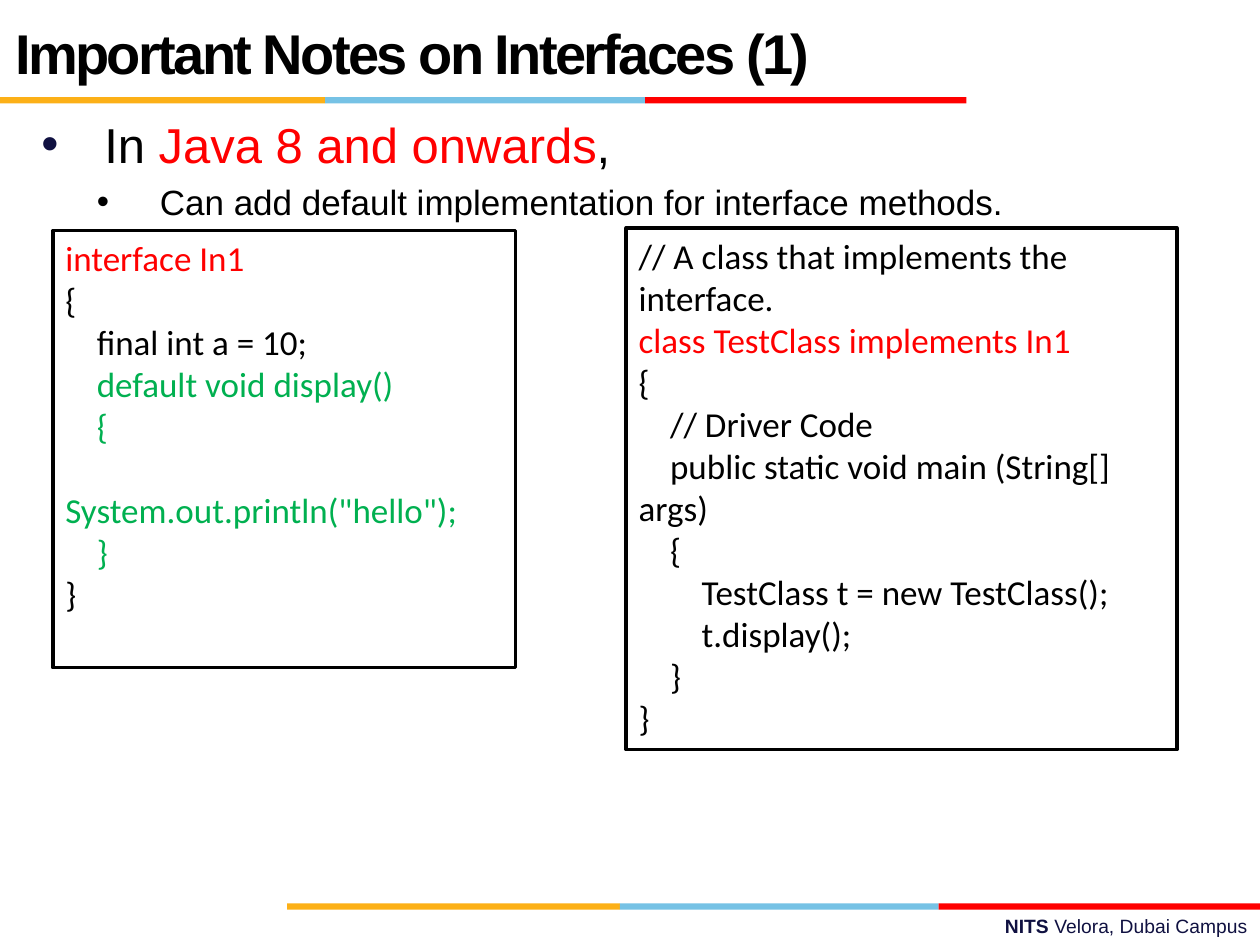
"""Build a slide on default methods in Java interfaces."""
import pptx
import pptx.util
import pptx.dml.color
import pptx.enum.shapes
import pptx.enum.text
import pptx.oxml.ns
import lxml.etree

Inches = pptx.util.Inches
Pt = pptx.util.Pt
BLACK, RED, GREEN, NAVY = "000000", "FF0000", "00B050", "101141"
YELLOW, BLUE, WHITE = "FCB017", "76C2E5", "FFFFFF"


def color(value):
    return pptx.dml.color.RGBColor.from_string(value)


def write(frame, runs, size, font="Arial", align="LEFT", before=0, margin=0, indent=0,
          bullet=None, level=0, line=None, spacing=None):
    paragraph = frame.paragraphs[0]
    if paragraph.runs:
        paragraph = frame.add_paragraph()
    paragraph.level = level
    paragraph.alignment = getattr(pptx.enum.text.PP_ALIGN, align)
    paragraph.space_before = Pt(before)
    if line:
        paragraph.line_spacing = Pt(line)
    properties = paragraph._p.get_or_add_pPr()
    properties.set("marL", str(Inches(margin)))
    properties.set("indent", str(Inches(indent)))
    if bullet:
        bullet_color = lxml.etree.SubElement(properties, pptx.oxml.ns.qn("a:buClr"))
        lxml.etree.SubElement(bullet_color, pptx.oxml.ns.qn("a:srgbClr"), val=bullet)
        lxml.etree.SubElement(properties, pptx.oxml.ns.qn("a:buFont"), typeface="Arial")
        lxml.etree.SubElement(properties, pptx.oxml.ns.qn("a:buChar"), char="•")
    for text, text_color, bold in runs:
        run = paragraph.add_run()
        run.text = text
        run.font.size = Pt(size)
        run.font.name = font
        run.font.bold = bold
        run.font.color.rgb = color(text_color)
        if spacing:
            run._r.get_or_add_rPr().set("spc", str(spacing))


presentation = pptx.Presentation()
presentation.slide_width = Inches(10)
presentation.slide_height = Inches(7.5)
slide = presentation.slides.add_slide(presentation.slide_layouts[5])
rectangle = pptx.enum.shapes.MSO_SHAPE.RECTANGLE

for top, edges in [(0.77, (0, 2.58, 5.12, 7.67)), (7.17, (2.28, 4.92, 7.45, 10))]:
    for left, right, fill in zip(edges, edges[1:], (YELLOW, BLUE, RED)):
        bar = slide.shapes.add_shape(
            rectangle, Inches(left), Inches(top), Inches(right - left), Inches(0.05))
        bar.shadow.inherit = False
        bar.fill.solid()
        bar.fill.fore_color.rgb = color(fill)
        bar.line.fill.background()

title = slide.shapes.title
title.left, title.top, title.width, title.height = map(Inches, (0.02, 0.19, 8.25, 0.48))
title.text_frame.auto_size = pptx.enum.text.MSO_AUTO_SIZE.NONE
title.text_frame.vertical_anchor = pptx.enum.text.MSO_ANCHOR.MIDDLE
write(title.text_frame, [("Important Notes on Interfaces (1)", BLACK, True)], 32,
      line=36, spacing=-150)

body = slide.shapes.add_textbox(Inches(0.23), Inches(0.86), Inches(9.6), Inches(6.24))
body.text_frame.word_wrap = True
write(body.text_frame,
      [("In ", BLACK, False), ("Java 8 and onwards", RED, False), (",", BLACK, False)],
      28, before=5.6, margin=0.5, indent=-0.5, bullet=NAVY)
write(body.text_frame,
      [("Can add default implementation for interface methods.", BLACK, False)],
      20, before=4, margin=0.94, indent=-0.5, bullet=BLACK, level=1)

interface_code = [
    ("interface In1", RED, 0, 0),
    ("{", BLACK, 0, 0),
    ("final int a = 10;", BLACK, 1, 0),
    ("default void display()", GREEN, 1, 0),
    ("{", GREEN, 1, 0),
    ('System.out.println("hello");', GREEN, 0, 24),
    ("}", GREEN, 1, 0),
    ("}", BLACK, 0, 0),
]
class_code = [
    ("// A class that implements the interface.", BLACK, 0, 0),
    ("class TestClass implements In1", RED, 0, 0),
    ("{", BLACK, 0, 0),
    ("// Driver Code", BLACK, 1, 0),
    ("public static void main (String[] args)", BLACK, 1, 0),
    ("{", BLACK, 1, 0),
    ("TestClass t = new TestClass();", BLACK, 2, 0),
    ("t.display();", BLACK, 2, 0),
    ("}", BLACK, 1, 0),
    ("}", BLACK, 0, 0),
]
for position, code in [((0.42, 1.83, 3.67, 3.47), interface_code),
                       ((4.97, 1.81, 4.37, 4.14), class_code)]:
    box = slide.shapes.add_shape(rectangle, *map(Inches, position))
    box.shadow.inherit = False
    box.fill.solid()
    box.fill.fore_color.rgb = color(WHITE)
    box.line.color.rgb = color(BLACK)
    box.line.width = Pt(2)
    box.text_frame.word_wrap = True
    box.text_frame.vertical_anchor = pptx.enum.text.MSO_ANCHOR.TOP
    for text, text_color, depth, before in code:
        write(box.text_frame, [(text, text_color, False)], 20, font="Calibri",
              before=before, indent=0.25 * depth)

footer = slide.shapes.add_textbox(Inches(3.58), Inches(7.21), Inches(6.42), Inches(0.29))
footer.text_frame.word_wrap = True
write(footer.text_frame, [("NITS ", NAVY, True), ("Velora, Dubai Campus", NAVY, False)],
      11, align="RIGHT")

presentation.save("out.pptx")
